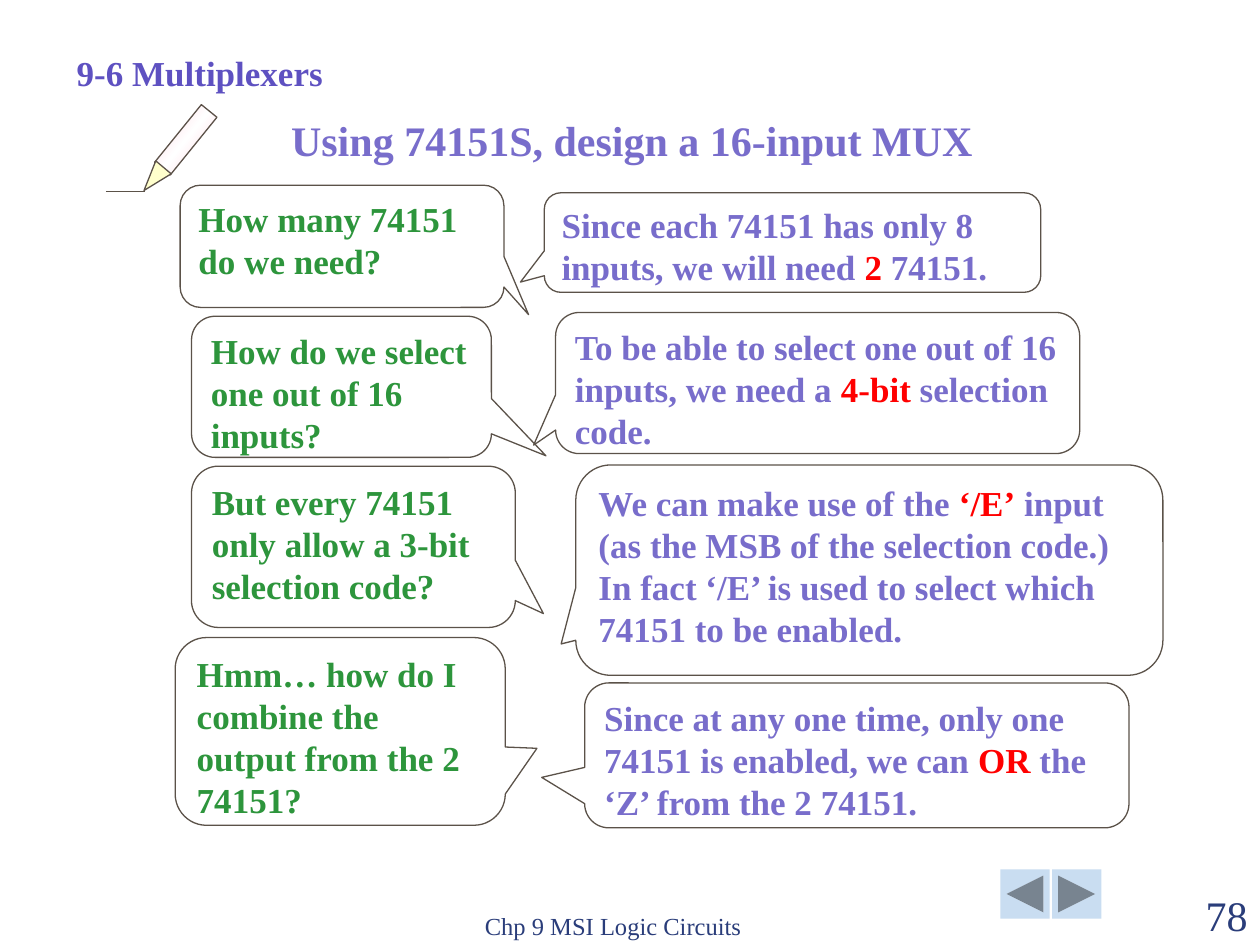
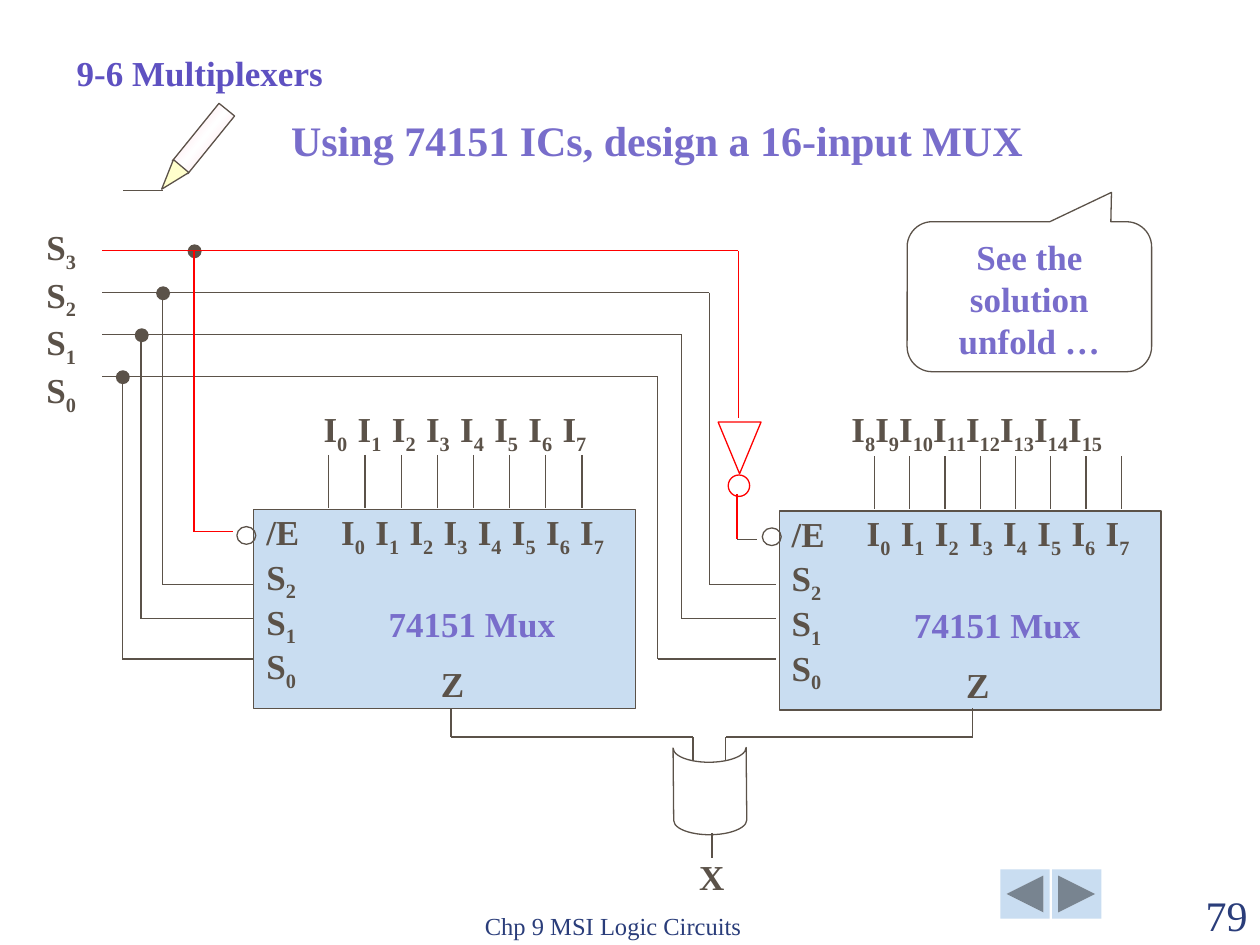
from copy import deepcopy
from dataclasses import dataclass

from lxml.etree import SubElement
from pptx import Presentation
from pptx.dml.color import RGBColor
from pptx.enum.shapes import MSO_CONNECTOR, MSO_SHAPE
from pptx.enum.text import MSO_ANCHOR, PP_ALIGN
from pptx.oxml.ns import qn
from pptx.util import Inches, Pt


@dataclass(frozen=True)
class Theme:
    font: str = "Times New Roman"
    ink: str = "5B5249"
    section: str = "5E51C1"
    answer: str = "786DCB"
    question: str = "2D953C"
    accent: str = "FF0000"
    footer: str = "2A3D7A"
    panel: str = "C9DDF1"
    white: str = "FFFFFF"
    pencil_body: str = "FFCCDD"
    pencil_tip: str = "FFFFCC"
    footer_size: int = 14
    body_size: int = 20
    title_size: int = 24
    line_width: float = 0.75


THEME = Theme()
TITLE_ONLY = 5
GRID_COLUMNS, GRID_ROWS = 100, 75
CELL = Inches(10) / GRID_COLUMNS
LABEL_STEP = 2.71  # columns between input labels


def grid(*cells):
    """Turn counts of columns or rows into slide lengths."""
    return [round(count * CELL) for count in cells]


def rgb(code):
    return RGBColor.from_string(code)


# Text

def write(para, text, color, size=THEME.body_size, align=PP_ALIGN.LEFT, mark="accent"):
    """Write text; the parts between bars are red or lowered."""
    para.alignment = align
    para.font.name, para.font.size, para.font.bold = THEME.font, Pt(size), True
    para.font.color.rgb = rgb(color)
    for index, part in enumerate(text.split("|")):
        if not part:
            continue
        span = para.add_run()
        span.text = part
        if index % 2 and mark == "accent":
            span.font.color.rgb = rgb(THEME.accent)
        elif index % 2:
            span._r.get_or_add_rPr().set("baseline", "-25000")


def add_label(page, at, lines, color=THEME.ink, anchor=MSO_ANCHOR.TOP, bold=True,
              spacing=None, gap=0, tabs=0, **style):
    box = page.shapes.add_textbox(*grid(*at))
    frame = box.text_frame
    frame.word_wrap, frame.vertical_anchor = True, anchor
    for index, line in enumerate(lines):
        para = frame.add_paragraph() if index else frame.paragraphs[0]
        if tabs:
            tab_list = SubElement(para._p.get_or_add_pPr(), qn("a:tabLst"))
            for stop in range(1, tabs + 1):
                SubElement(tab_list, qn("a:tab"), algn="l", pos=str(grid(stop * LABEL_STEP)[0]))
        write(para, line, color, mark="lowered", **style)
        para.font.bold = bold
        if spacing:
            para.line_spacing = spacing
        if index and gap:
            para.space_before = Pt(gap)


def indexed(letter, numbers, joint=""):
    return joint.join(f"{letter}|{number}|" for number in numbers)


# Shapes and lines

def add_outline(page, kind, at, fill=None, line=THEME.ink, rotation=0):
    shape = page.shapes.add_shape(kind, *grid(*at))
    shape.shadow.inherit = False
    shape.rotation = rotation
    if fill:
        shape.fill.solid()
        shape.fill.fore_color.rgb = rgb(fill)
    else:
        shape.fill.background()
    if line:
        shape.line.color.rgb = rgb(line)
        shape.line.width = Pt(THEME.line_width)
    else:
        shape.line.fill.background()
    return shape


def add_wire(page, *points, color=THEME.ink):
    """Join successive (column, row) points with straight lines."""
    for start, end in zip(points, points[1:]):
        wire = page.shapes.add_connector(MSO_CONNECTOR.STRAIGHT, *grid(*start, *end))
        wire.line.color.rgb = rgb(color)
        wire.line.width = Pt(THEME.line_width)
        SubElement(wire._element.spPr, qn("a:effectLst"))


def add_callout(page, at, tail, text, color, align=PP_ALIGN.LEFT):
    bubble = add_outline(page, MSO_SHAPE.ROUNDED_RECTANGULAR_CALLOUT, at)
    for index, value in enumerate((*tail, 0.167)):
        bubble.adjustments[index] = value
    frame = bubble.text_frame
    frame.word_wrap, frame.vertical_anchor = True, MSO_ANCHOR.TOP
    write(frame.paragraphs[0], text, color, align=align)


def add_pencil(page, left, top):
    body = add_outline(page, MSO_SHAPE.RECTANGLE, (left + 3.4, top, 5.9, 1.6), rotation=309)
    body.fill.gradient()
    body.fill.gradient_angle = 90
    first, last = body.fill.gradient_stops
    first.color.rgb = last.color.rgb = rgb(THEME.pencil_body)
    first.position, last.position = 0, 1
    middle = deepcopy(first._gs)
    first._gs.addnext(middle)
    shine = body.fill.gradient_stops[1]
    shine.position, shine.color.rgb = 0.5, rgb(THEME.white)
    add_outline(page, MSO_SHAPE.ISOSCELES_TRIANGLE, (left + 3, top + 2.7, 1.6, 2.4),
                THEME.pencil_tip, rotation=220.1)
    add_wire(page, (left, top + 4.9), (left + 3.1, top + 4.9))


# Frame shared by the slides

def add_page(deck, title, number, pencil):
    page = deck.slides.add_slide(deck.slide_layouts[TITLE_ONLY])
    heading = page.shapes.title
    heading.left, heading.top, heading.width, heading.height = grid(22.1, 8.6, 70, 5)
    heading.text_frame.word_wrap = True
    heading.text_frame.vertical_anchor = MSO_ANCHOR.TOP
    write(heading.text_frame.paragraphs[0], title, THEME.answer, THEME.title_size)
    add_label(page, (5.1, 3.6, 26, 4.3), ["9-6 Multiplexers"], THEME.section)
    add_pencil(page, *pencil)
    buttons = (MSO_SHAPE.ACTION_BUTTON_BACK_OR_PREVIOUS,
               MSO_SHAPE.ACTION_BUTTON_FORWARD_OR_NEXT)
    for index, button in enumerate(buttons):
        add_outline(page, button, (79.4 + 4.1 * index, 69, 3.9, 3.9), THEME.panel, line=None)
    add_label(page, (37.5, 70.1, 31.7, 5), ["Chp 9 MSI Logic Circuits"], THEME.footer,
              MSO_ANCHOR.BOTTOM, bold=False, size=THEME.footer_size)
    add_label(page, (90, 70.1, 10, 5), [str(number)], THEME.footer, MSO_ANCHOR.BOTTOM,
              bold=False, size=THEME.title_size, align=PP_ALIGN.RIGHT)
    return page


# Questions and answers

QUESTIONS = [
    ((14.3, 14.7, 25.7, 9.7), (0.576, 0.559), "How many 74151 do we need?"),
    ((15.2, 25.1, 23.8, 11.2), (0.682, 0.489), "How do we select one out of 16 inputs?"),
    ((15.2, 37, 25.7, 12.8), (0.587, 0.414),
     "But every 74151 only allow a 3-bit selection code?"),
    ((13.9, 50.6, 26.2, 14.9), (0.596, 0.09),
     "Hmm… how do I combine the output from the 2 74151?"),
]
ANSWERS = [
    ((43.2, 15.3, 39.4, 7.9), (-0.548, 0.397),
     "Since each 74151 has only 8 inputs, we will need |2| 74151."),
    ((44.1, 24.8, 41.6, 11.2), (-0.542, 0.44),
     "To be able to select one out of 16 inputs, we need a |4-bit| selection code."),
    ((45.7, 36.9, 46.6, 16.7), (-0.525, 0.351),
     "We can make use of the |‘/E’| input (as the MSB of the selection code.) "
     "In fact ‘/E’ is used to select which 74151 to be enabled."),
    ((46.4, 54.2, 43.2, 11.5), (-0.579, 0.152),
     "Since at any one time, only one 74151 is enabled, we can |OR| the ‘Z’ from the 2 74151."),
]


def build_questions(deck):
    page = add_page(deck, "Using 74151S, design a 16-input MUX", 78, (8.4, 10.3))
    for color, callouts in ((THEME.question, QUESTIONS), (THEME.answer, ANSWERS)):
        for at, tail, text in callouts:
            add_callout(page, at, tail, text, color)


# Circuit

def add_mux(page, left, top):
    add_outline(page, MSO_SHAPE.RECTANGLE, (left, top, 30.3, 15.8), THEME.panel)
    add_outline(page, MSO_SHAPE.OVAL, (left - 1.35, top + 1.35, 1.5, 1.4))
    add_label(page, (left + 5.95, top + 0.25, 24.2, 3.3), [indexed("I", range(8), "\t")],
              spacing=0.7, tabs=7)
    add_label(page, (left + 13.85, top + 11.65, 3.9, 4.4), ["Z"])
    add_label(page, (left + 7.25, top + 6.85, 20.1, 4.3), ["74151 Mux"], THEME.answer,
              align=PP_ALIGN.CENTER)
    add_label(page, (left, top + 1.05, 5.1, 12.7),
              ["/E"] + [indexed("S", [number]) for number in (2, 1, 0)], spacing=0.5, gap=12)


def add_input_pins(page, left, top, step):
    for index in range(8):
        column = left + step * index
        add_wire(page, (column, top), (column, top + 4.2))


def add_dot(page, column, row):
    add_outline(page, MSO_SHAPE.OVAL, (column - 0.45, row - 0.45, 1, 1), THEME.ink)


def add_select_lines(page):
    bus_left, bus_top, bus_step = 8.1, 19.9, 3.33
    # Columns of the left and right drops, row of the pin
    drops = [(12.9, 56.3, 46.4), (11.2, 54.1, 49.1), (9.7, 52.2, 52.3)]
    for index, (tap, turn, pin) in enumerate(drops, start=1):
        bus = bus_top + bus_step * index
        add_wire(page, (bus_left, bus), (turn, bus), (turn, pin), (61.6, pin))
        add_wire(page, (tap, bus), (tap, pin), (20.2, pin))
        add_dot(page, tap, bus)

    # Enable line with its inverter
    tap, turn = 15.4, 58.6
    add_dot(page, tap, bus_top)
    add_wire(page, (tap, bus_top), (tap, 42.2), (18.5, 42.2), color=THEME.accent)
    add_wire(page, (bus_left, bus_top), (turn, bus_top), (turn, 33.2), color=THEME.accent)
    add_outline(page, MSO_SHAPE.FLOWCHART_MERGE, (57, 33.5, 3.4, 4.1), line=THEME.accent)
    add_outline(page, MSO_SHAPE.OVAL, (57.8, 37.7, 1.7, 1.7), line=THEME.accent)
    add_wire(page, (58.5, 39.2), (58.5, 42.8), color=THEME.accent)
    add_wire(page, (58.5, 42.8), (60.1, 42.8))


def add_output_gate(page):
    add_outline(page, MSO_SHAPE.FLOWCHART_STORED_DATA, (52.9, 59.9, 6.9, 5.8), rotation=269.5)
    for output, gate_input in ((35.8, 55), (77.2, 57.6)):
        add_wire(page, (output, 56.2), (output, 58.5), (gate_input, 58.5), (gate_input, 60.3))
    add_wire(page, (56.5, 66.1), (56.5, 68.1))
    add_label(page, (54.5, 67.4, 4.2, 4.3), ["X"])


def build_circuit(deck):
    page = add_page(deck, "Using 74151 ICs, design a 16-input MUX", 79, (9.8, 10.2))
    add_label(page, (2.7, 17.4, 5.2, 14.3), [indexed("S", [number]) for number in (3, 2, 1, 0)])
    add_mux(page, 20.15, 40.45)
    add_mux(page, 61.85, 40.55)
    add_label(page, (24.7, 32.5, 24, 3.3), [indexed("I", range(8), "\t")], spacing=0.7, tabs=7)
    add_label(page, (66.6, 32.5, 24, 3.3), [indexed("I", range(8, 16))], spacing=0.7)
    add_input_pins(page, 26.1, 36.1, 2.87)
    add_input_pins(page, 69.4, 36.2, 2.8)
    add_select_lines(page)
    add_output_gate(page)
    add_callout(page, (72, 17.6, 19.4, 11.9), (0.336, -0.696), "See the solution unfold …",
                THEME.answer, PP_ALIGN.CENTER)


def main():
    deck = Presentation()
    deck.slide_width, deck.slide_height = grid(GRID_COLUMNS, GRID_ROWS)
    build_questions(deck)
    build_circuit(deck)
    deck.save("out.pptx")


if __name__ == "__main__":
    main()
